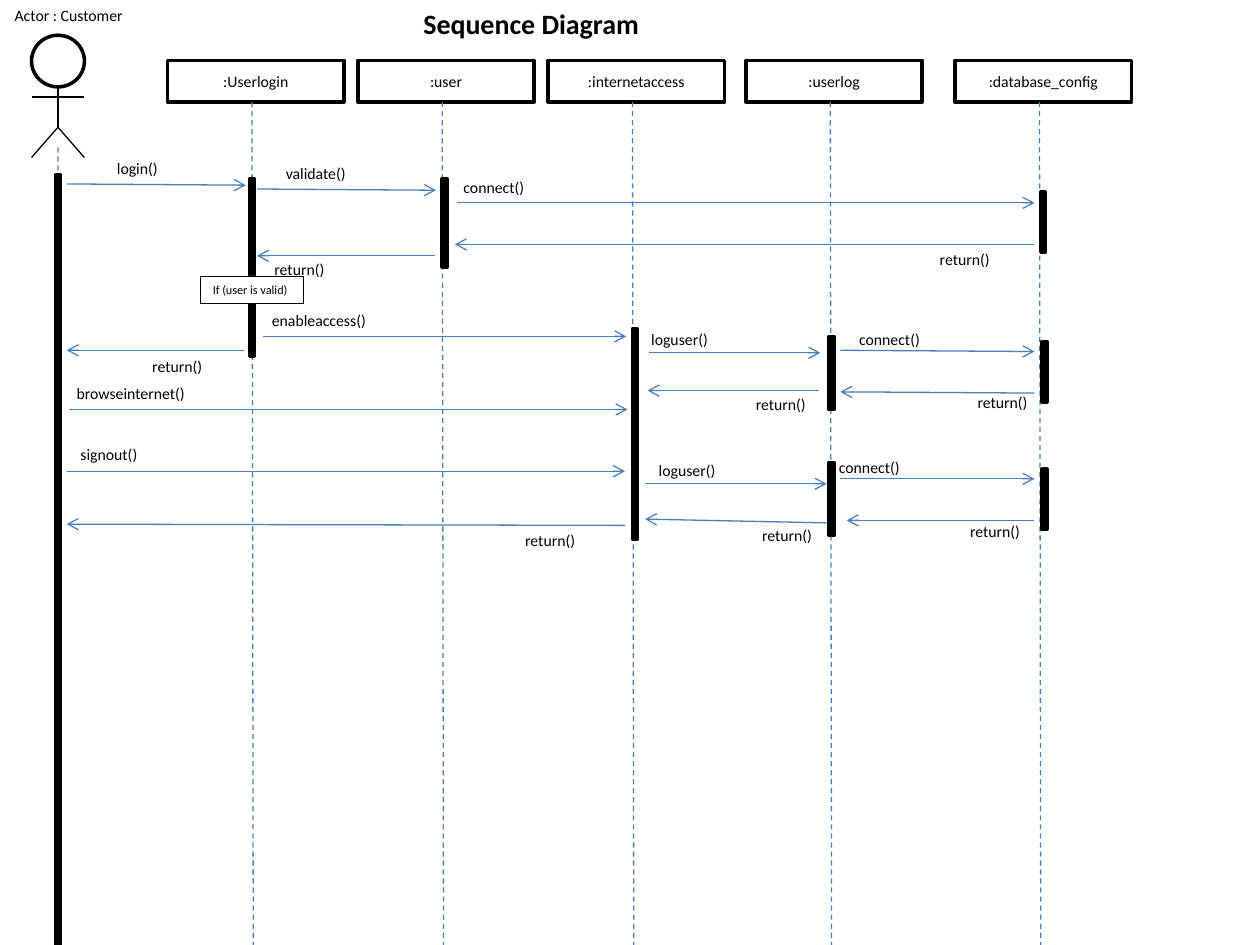
import pptx
import pptx.util
import pptx.dml.color
import pptx.enum.dml
import pptx.enum.shapes
import pptx.enum.text
import pptx.oxml.ns
from lxml import etree

Pt = pptx.util.Pt
SHAPE = pptx.enum.shapes.MSO_SHAPE
ALIGN = pptx.enum.text.PP_ALIGN
ANCHOR = pptx.enum.text.MSO_ANCHOR
BLACK = pptx.dml.color.RGBColor(0x00, 0x00, 0x00)
WHITE = pptx.dml.color.RGBColor(0xFF, 0xFF, 0xFF)
BLUE = pptx.dml.color.RGBColor(0x4A, 0x7E, 0xBB)

prs = pptx.Presentation()
prs.slide_width = pptx.util.Inches(10)
prs.slide_height = pptx.util.Inches(7.5)
U = prs.slide_width // 10  # grid unit: a tenth of the slide's width
BOTTOM = 7.5
s = prs.slides.add_slide(prs.slide_layouts[5])


def box(kind, x, y, w, h, fill=None, line=None, text="", size=9, bold=False,
        align=ALIGN.LEFT, anchor=ANCHOR.TOP):
    """Add a shape, text box or title with one run of text."""
    if kind == "title":
        sp = s.shapes.title
        sp.left, sp.top, sp.width, sp.height = (int(v * U) for v in (x, y, w, h))
    elif kind == "text":
        sp = s.shapes.add_textbox(*(int(v * U) for v in (x, y, w, h)))
    else:
        sp = s.shapes.add_shape(kind, *(int(v * U) for v in (x, y, w, h)))
        sp.shadow.inherit = False
        sp.fill.solid()
        sp.fill.fore_color.rgb = fill
        if line:
            sp.line.color.rgb = BLACK
            sp.line.width = Pt(line)
        else:
            sp.line.fill.background()
    if text:
        tf = sp.text_frame
        tf.word_wrap = True
        tf.auto_size = pptx.enum.text.MSO_AUTO_SIZE.NONE
        tf.vertical_anchor = anchor
        p = tf.paragraphs[0]
        p.alignment = align
        r = p.add_run()
        r.text = text
        r.font.name = "Calibri"
        r.font.size = Pt(size)
        r.font.bold = bold
        r.font.color.rgb = BLACK


def line(x1, y1, x2, y2, color=BLUE, dash=False, arrow=False):
    """Add a thin straight line, dashed or with an open arrowhead on request."""
    c = s.shapes.add_connector(pptx.enum.shapes.MSO_CONNECTOR.STRAIGHT,
                               *(int(v * U) for v in (x1, y1, x2, y2)))
    c.line.color.rgb = color
    c.line.width = Pt(0.75)
    if dash:
        c.line.dash_style = pptx.enum.dml.MSO_LINE.DASH
    if arrow:
        etree.SubElement(c.line._get_or_add_ln(), pptx.oxml.ns.qn("a:tailEnd"), type="arrow")
    etree.SubElement(c._element.spPr, pptx.oxml.ns.qn("a:effectLst"))


# Title
box("title", 3.26, 0, 2.8, 0.37, text="Sequence Diagram", size=16, bold=True)

# Actor: name, head, then body, arms and legs
box(SHAPE.RECTANGLE, -0.17, 0, 1.43, 0.25, WHITE, text="Actor : Customer", align=ALIGN.CENTER)
box(SHAPE.OVAL, 0.25, 0.28, 0.42, 0.41, WHITE, 2)
for limb in [(0.46, 0.69, 0.46, 1.01), (0.25, 0.77, 0.67, 0.77),
             (0.46, 1.01, 0.25, 1.25), (0.46, 1.01, 0.67, 1.25)]:
    line(*limb, color=BLACK)
line(0.46, 1.17, 0.47, BOTTOM, dash=True)

# Objects and their lifelines
for name, x in [(":Userlogin", 1.33), (":user", 2.84), (":internetaccess", 4.35),
                (":userlog", 5.92), (":database_config", 7.58)]:
    box(SHAPE.RECTANGLE, x, 0.48, 1.4, 0.33, WHITE, 2, name,
        align=ALIGN.CENTER, anchor=ANCHOR.MIDDLE)
    line(x + 0.67, 0.81, x + 0.68, BOTTOM, dash=True)

# Activation bars: left, top, height
for x, y, h in [(0.44, 1.39, BOTTOM - 1.39), (1.98, 1.42, 1.41), (3.51, 1.42, 0.7),
                (5.02, 2.61, 1.67), (6.58, 2.67, 0.58), (6.58, 3.67, 0.58),
                (8.26, 1.52, 0.48), (8.27, 2.71, 0.48), (8.27, 3.72, 0.48)]:
    box(SHAPE.RECTANGLE, x, y, 0.04, h, BLACK, 2)

# Messages: label, its left and top, then the arrow's start and end
WIDTHS = {"login()": 0.54, "validate()": 0.7, "connect()": 0.93, "return()": 0.62,
          "enableaccess()": 0.96, "loguser()": 0.67, "browseinternet()": 1.08,
          "signout()": 0.67}
messages = [
    ("login()", 0.83, 1.21, 0.53, 1.46, 1.95, 1.47),
    ("validate()", 2.17, 1.25, 2.04, 1.5, 3.46, 1.51),
    ("connect()", 3.58, 1.36, 3.63, 1.61, 8.21, 1.61),
    ("return()", 7.36, 1.93, 8.21, 1.94, 3.61, 1.94),
    ("return()", 2.08, 2.01, 3.45, 2.03, 2.04, 2.03),
    ("enableaccess()", 2.06, 2.42, 2.09, 2.67, 4.97, 2.67),
    ("return()", 1.11, 2.78, 1.94, 2.78, 0.53, 2.78),
    ("loguser()", 5.07, 2.57, 5.15, 2.8, 6.51, 2.8),
    ("connect()", 6.72, 2.57, 6.67, 2.78, 8.21, 2.79),
    ("return()", 7.66, 3.07, 8.21, 3.12, 6.67, 3.11),
    ("return()", 5.9, 3.08, 6.5, 3.1, 5.14, 3.1),
    ("browseinternet()", 0.51, 3, 0.55, 3.25, 4.98, 3.25),
    ("signout()", 0.54, 3.48, 0.53, 3.74, 4.96, 3.74),
    ("loguser()", 5.13, 3.61, 5.12, 3.84, 6.56, 3.84),
    ("connect()", 6.56, 3.58, 6.67, 3.8, 8.21, 3.8),
    ("return()", 7.6, 4.09, 8.21, 4.13, 6.72, 4.13),
    ("return()", 5.95, 4.12, 6.56, 4.15, 5.12, 4.12),
    ("return()", 4.07, 4.16, 4.96, 4.17, 0.53, 4.16),
]
for label, x, y, *ends in messages:
    line(*ends, arrow=True)
    box("text", x, y, WIDTHS[label], 0.25, text=label)

# Condition on the login bar
box(SHAPE.RECTANGLE, 1.59, 2.19, 0.82, 0.22, WHITE, 0.5, "If (user is valid)", size=7)

prs.save("out.pptx")
